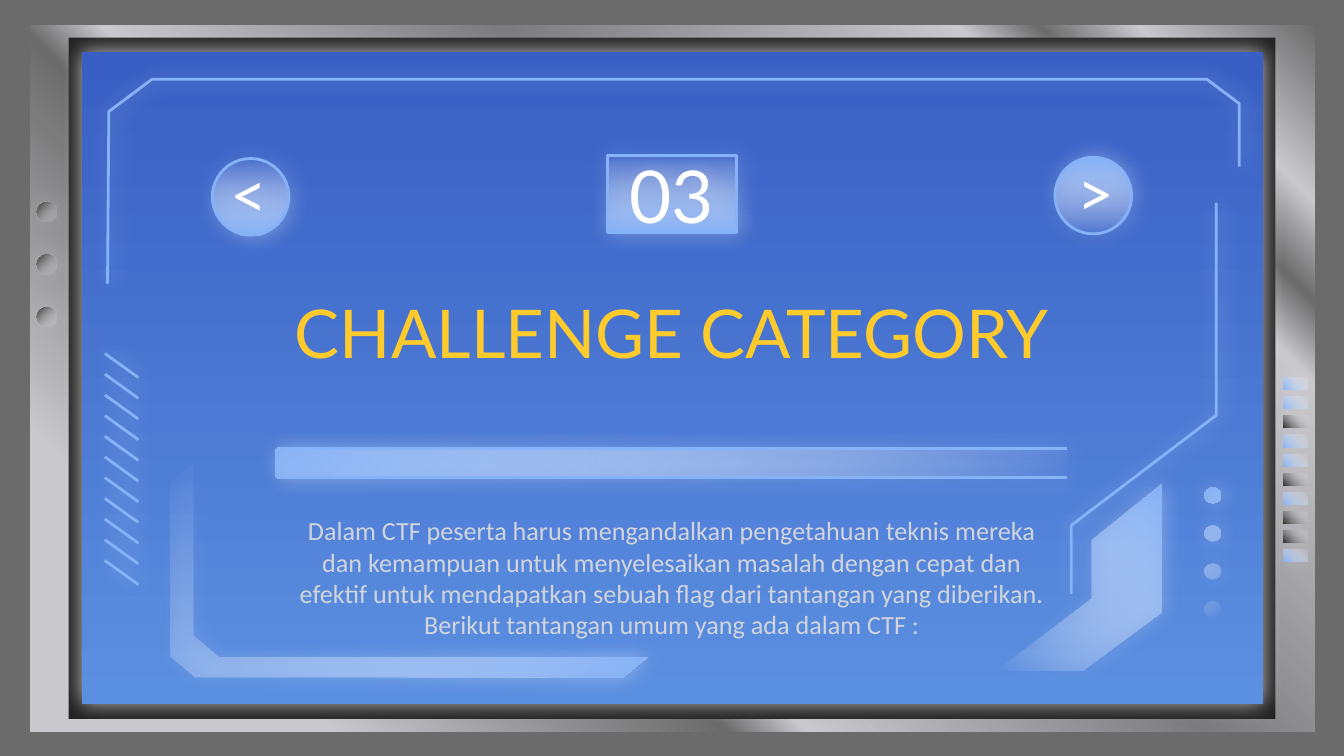
from math import cos, pi, sin

from lxml.etree import SubElement
from pptx import Presentation
from pptx.dml.color import RGBColor
from pptx.enum.shapes import MSO_CONNECTOR, MSO_SHAPE
from pptx.enum.text import MSO_ANCHOR, MSO_AUTO_SIZE, PP_ALIGN
from pptx.oxml.ns import qn
from pptx.util import Inches, Pt

WIDTH = Inches(10)
HEIGHT = WIDTH * 9 // 16
COLUMN = WIDTH / 10  # the grid has ten square columns
BLUE, DARK, GREY, SILVER, WHITE = "86B2F7", "222222", "6B6B6B", "C8C8CD", "FFFFFF"
METAL = [(0, GREY), (9, SILVER), (14, GREY), (18, SILVER), (41, "7C7C7F"),
         (61, SILVER), (65, GREY), (85, SILVER), (100, SILVER)]
FADE_BLUE = [(0, BLUE), (100, WHITE, 0)]
FADE_DARK = [(0, DARK), (100, WHITE, 0)]


def color(value):
    return RGBColor.from_string(value)


def grid(*values):
    return [round(v * COLUMN) for v in values]


def srgb(parent, value, alpha=100):
    clr = SubElement(parent, qn("a:srgbClr"), val=value)
    if alpha < 100:
        SubElement(clr, qn("a:alpha"), val=str(alpha * 1000))


def paint(sp, fill=None, angle=45, line=None, weight=1.5):
    """Fill with a hex colour, a list of gradient stops, or nothing."""
    if fill is None:
        sp.fill.background()
    elif isinstance(fill, str):
        sp.fill.solid()
        sp.fill.fore_color.rgb = color(fill)
    else:
        sp.fill.gradient()
        grad = sp._element.spPr.find(qn("a:gradFill"))
        stops = grad.find(qn("a:gsLst"))
        for gs in list(stops):
            stops.remove(gs)
        for pos, *tint in fill:
            srgb(SubElement(stops, qn("a:gs"), pos=str(pos * 1000)), *tint)
        grad.find(qn("a:lin")).set("ang", str(angle * 60000))
    stroke(sp, line, weight)


def stroke(sp, line, weight=1.5):
    if line:
        sp.line.color.rgb = color(line)
        sp.line.width = Pt(weight)
    else:
        sp.line.fill.background()


def glow(sp, alpha=35, distance=1.5):
    """Give a white blurred shadow; alpha 0 leaves no shadow."""
    effects = SubElement(sp._element.spPr, qn("a:effectLst"))
    if alpha:
        shadow = SubElement(effects, qn("a:outerShdw"), blurRad=str(Pt(11.2)),
                            dist=str(Pt(distance)), dir="0", algn="bl",
                            rotWithShape="0")
        srgb(shadow, WHITE, alpha)


def block(s, box, kind=MSO_SHAPE.RECTANGLE, flip=False, rotation=0,
          alpha=35, distance=1.5, **style):
    sp = s.shapes.add_shape(kind, *grid(*box))
    paint(sp, **style)
    glow(sp, alpha, distance)
    sp.rotation = rotation
    if flip:
        sp._element.spPr.find(qn("a:xfrm")).set("flipH", "1")
    return sp


def outline(s, *contours, close=True, **style):
    first, *others = [[grid(*point) for point in points] for points in contours]
    builder = s.shapes.build_freeform(*first[0])
    builder.add_line_segments(first[1:], close=close)
    for points in others:
        builder.move_to(*points[0])
        builder.add_line_segments(points[1:], close=close)
    sp = builder.convert_to_shape()
    paint(sp, **style)
    glow(sp)
    return sp


def rule(s, *ends):
    line = s.shapes.add_connector(MSO_CONNECTOR.STRAIGHT, *grid(*ends))
    stroke(line, BLUE)
    glow(line)


def write(sp, text, size, font, tint, insets=(0.1,) * 4, anchor=MSO_ANCHOR.MIDDLE):
    tf = sp.text_frame
    tf.word_wrap = True
    tf.auto_size = MSO_AUTO_SIZE.NONE
    tf.vertical_anchor = anchor
    tf.margin_left, tf.margin_top, tf.margin_right, tf.margin_bottom = grid(*insets)
    p = tf.paragraphs[0]
    p.text = text
    p.alignment = PP_ALIGN.CENTER
    p.font.size, p.font.name, p.font.color.rgb = Pt(size), font, color(tint)


def dot(x, y, radius=0.06, sides=32):
    turns = [2 * pi * i / sides for i in range(sides)]
    return [(x + radius * cos(t), y + radius * sin(t)) for t in turns]


def draw_monitor(s):
    # Casing and screen
    block(s, (0.22, 0.18, 9.57, 5.27), flip=True, alpha=0, fill=METAL,
          line=GREY, weight=0.75)
    block(s, (0.51, 0.28, 8.98, 5.07), flip=True, alpha=0, fill=DARK)
    block(s, (0.56, 0.33, 8.88, 4.96), flip=True, alpha=0, fill=DARK, line=DARK)
    block(s, (0.61, 0.39, 8.79, 4.85), flip=True, alpha=72, distance=0,
          fill=[(0, "395FC4"), (100, "5B8FE0")], angle=90)
    # Knobs on the left, lamps on the right
    for i in range(3):
        block(s, (0.27, 1.5 + 0.39 * i, 0.15, 0.15), MSO_SHAPE.OVAL, True, 270,
              fill=FADE_DARK)
    for i in range(10):
        block(s, (9.55, 2.81 + 1.28 * i / 9, 0.18, 0.09), flip=True, rotation=180,
              fill=FADE_DARK if i in (2, 5, 7, 8) else FADE_BLUE)


def draw_ornaments(s):
    # Hatching
    for i in range(11):
        y = 2.63 + 1.54 * i / 10
        outline(s, [(0.78, y), (1.03, y + 0.18)], close=False, line=BLUE)
    # Solid corner pieces
    outline(s, [(4.62, 5.04), (1.45, 5.03), (1.27, 4.88), (1.27, 3.59),
                (1.44, 3.45), (1.44, 4.72), (1.63, 4.88), (4.82, 4.88)],
            fill=FADE_BLUE, angle=225)
    outline(s, [(8.64, 3.6), (8.64, 4.55), (8.05, 4.99), (7.41, 4.99),
                (8.12, 4.45), (8.12, 4.02)], fill=FADE_BLUE, angle=135)
    # Thin frame lines
    outline(s, [(9.22, 1.24), (9.22, 0.77), (8.98, 0.59), (1.13, 0.59),
                (0.81, 0.83), (0.8, 2.11)], close=False, line=BLUE)
    outline(s, [(9.05, 1.51), (9.05, 3.09), (7.97, 3.91), (7.97, 4.42)],
            close=False, line=BLUE)
    # Column of dots
    outline(s, *[dot(9.02, 3.69 + 0.28 * i) for i in range(4)], fill=FADE_BLUE)


def draw_content(s):
    # Title, brought in front of the monitor
    title = s.shapes.title
    s.shapes._spTree.append(title._element)
    title.left, title.top, title.width, title.height = grid(2.06, 2.07, 5.88, 0.98)
    write(title, "CHALLENGE CATEGORY", 36, "Lato", "FFCB2C", anchor=MSO_ANCHOR.TOP)
    # Section number
    number = block(s, (4.52, 1.16, 0.96, 0.57), fill=FADE_BLUE, angle=270, line=BLUE)
    write(number, "03", 39, "Lato", WHITE)
    # Description
    description = s.shapes.add_textbox(*grid(2.06, 3.73, 5.88, 0.42))
    write(description, "Dalam CTF peserta harus mengandalkan pengetahuan teknis mereka "
          "dan kemampuan untuk menyelesaikan masalah dengan cepat dan efektif untuk "
          "mendapatkan sebuah flag dari tantangan yang diberikan. Berikut tantangan "
          "umum yang ada dalam CTF :", 14, "Calibri", "D1D5DB", anchor=MSO_ANCHOR.TOP)
    # Arrow buttons; the right one is turned round
    for x, y, turned in ((7.85, 1.17, True), (1.58, 1.18, False)):
        button = block(s, (x, y, 0.57, 0.57), MSO_SHAPE.OVAL, turned, 180 * turned,
                       fill=FADE_BLUE, angle=270, line=BLUE)
        write(button, "<", 34, "Lato", WHITE, (0, 0, 0.03, 0.06))
    # Divider bar, open on the right
    left, top, right, bottom = 2.06, 3.34, 7.94, 3.55
    block(s, (left, top, right - left, bottom - top), fill=FADE_BLUE)
    rule(s, right, top, left, top)
    rule(s, right, bottom, left, bottom)
    rule(s, left, bottom, left, top)


def main():
    prs = Presentation()
    prs.slide_width, prs.slide_height = WIDTH, HEIGHT
    s = prs.slides.add_slide(prs.slide_layouts[5])
    s.background.fill.solid()
    s.background.fill.fore_color.rgb = color(GREY)
    draw_monitor(s)
    draw_ornaments(s)
    draw_content(s)
    prs.save("out.pptx")


main()
